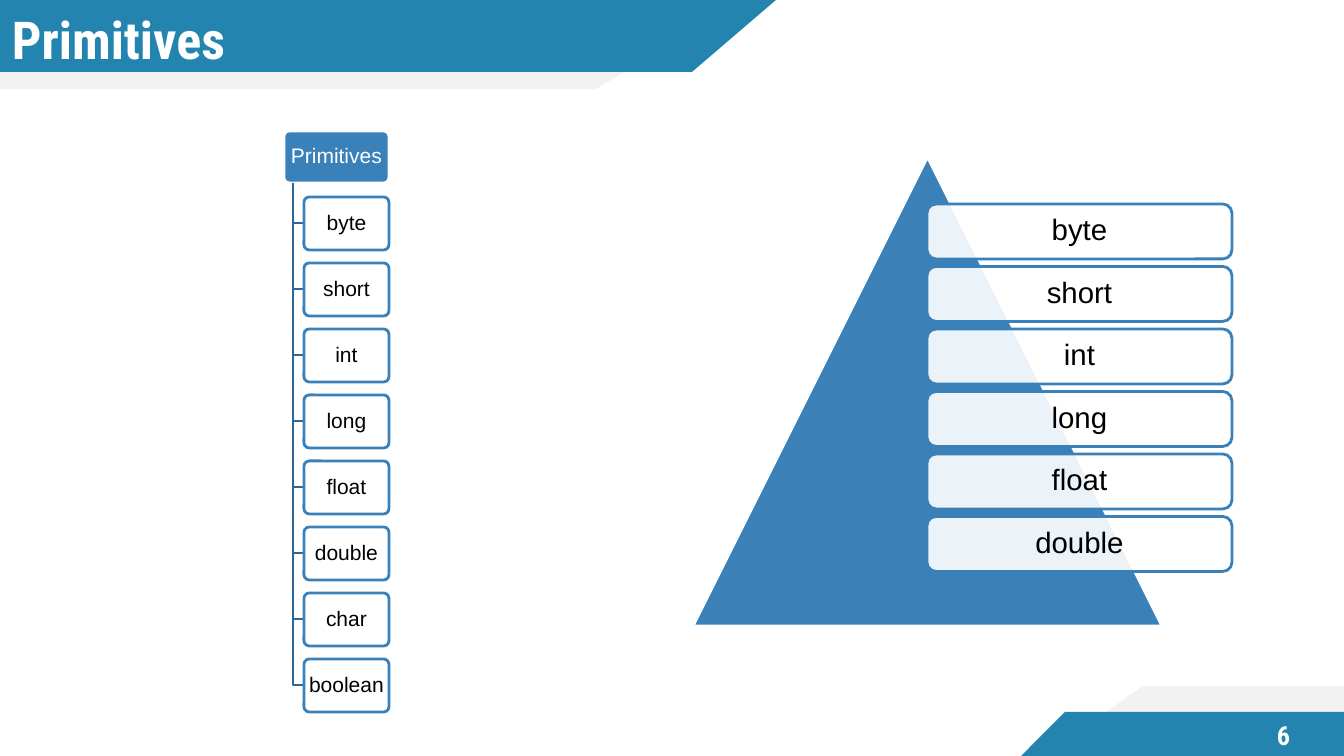
from pptx import Presentation
from pptx.dml.color import RGBColor
from pptx.enum.shapes import MSO_SHAPE
from pptx.enum.text import MSO_ANCHOR, PP_ALIGN
from pptx.oxml.ns import qn
from pptx.util import Pt
from lxml import etree

ROUND, PEAK = MSO_SHAPE.ROUNDED_RECTANGLE, MSO_SHAPE.ISOSCELES_TRIANGLE
MIDDLE = MSO_ANCHOR.MIDDLE
LEFT, CENTER = PP_ALIGN.LEFT, PP_ALIGN.CENTER
PX = 914400 / 100.8
TEAL, GREY, BLUE, NAVY = "2384AF", "F2F2F2", "3A81BA", "2E6795"
WHITE, BLACK = "FFFFFF", "000000"
HEAD, BODY = "Roboto Condensed", "Arial"


def paint(shape, fill, line=None, alpha=None):
    shape.shadow.inherit = False
    if fill:
        shape.fill.solid()
        shape.fill.fore_color.rgb = RGBColor.from_string(fill)
    else:
        shape.fill.background()
    if alpha:
        color = shape.fill._xPr.find(qn("a:solidFill"))[0]
        etree.SubElement(color, qn("a:alpha"), val=str(alpha * 1000))
    if line:
        shape.line.color.rgb = RGBColor.from_string(line)
        shape.line.width = Pt(2)
    else:
        shape.line.fill.background()


def write(shape, text, size, color, font=BODY, align=CENTER, bold=False, left=0):
    frame = shape.text_frame
    frame.word_wrap = True
    frame.vertical_anchor = MIDDLE
    frame.margin_left = round(left * PX)
    frame.margin_top = frame.margin_right = frame.margin_bottom = 0
    para = frame.paragraphs[0]
    para.alignment = align
    para.line_spacing = 0.9 if font == BODY else 1.0
    run = para.add_run()
    run.text = text
    run.font.name, run.font.size, run.font.bold = font, Pt(size), bold
    run.font.color.rgb = RGBColor.from_string(color)


deck = Presentation()
deck.slide_width, deck.slide_height = round(1344 * PX), round(756 * PX)
slide = deck.slides.add_slide(deck.slide_layouts[5])
shapes = slide.shapes

# Slanted bands at top and bottom
bands = [
    (GREY, [(0, 0), (742, 0), (596, 89), (0, 89)]),
    (TEAL, [(0, 0), (776, 0), (692, 72), (0, 72)]),
    (GREY, [(1143, 686), (1344, 686), (1344, 756), (1044, 756)]),
    (TEAL, [(1065, 712), (1344, 712), (1344, 756), (1021, 756)]),
]
for color, points in bands:
    pen = shapes.build_freeform(*points[0], scale=PX)
    pen.add_line_segments(points[1:])
    paint(pen.convert_to_shape(), color)

# Title, raised above the bands
title = shapes.title
title.left, title.top, title.width, title.height = [round(v * PX) for v in (0, 0, 735, 77)]
write(title, "Primitives", 37.3, WHITE, HEAD, LEFT, True, 12)
shapes._spTree.append(title._element)

# Page number
page = shapes.add_textbox(*[round(v * PX) for v in (1239, 713, 89, 45)])
write(page, "6", 18.7, WHITE, HEAD, bold=True)

# Tree of all primitive types
root = shapes.add_shape(ROUND, *[round(v * PX) for v in (284, 131, 105, 52)])
root.adjustments[0] = 0.1
paint(root, BLUE, WHITE)
write(root, "Primitives", 15, WHITE)
kinds = ["byte", "short", "int", "long", "float", "double", "char", "boolean"]
for i, kind in enumerate(kinds):
    top = 197 + 66 * i
    pen = shapes.build_freeform(293, 183, scale=PX)
    pen.add_line_segments([(293, top + 26), (304, top + 26)], close=False)
    paint(pen.convert_to_shape(), None, NAVY)
    leaf = shapes.add_shape(ROUND, *[round(v * PX) for v in (304, top, 85, 53)])
    leaf.adjustments[0] = 0.1
    paint(leaf, WHITE, BLUE, 90)
    write(leaf, kind, 15, BLACK)

# Pyramid of numeric types
peak = shapes.add_shape(PEAK, *[round(v * PX) for v in (693, 157, 469, 469)])
paint(peak, BLUE, WHITE)
for i, kind in enumerate(kinds[:6]):
    top = 204 + 62.5 * i
    bar = shapes.add_shape(ROUND, *[round(v * PX) for v in (927, top, 305, 55)])
    paint(bar, WHITE, BLUE, 90)
    write(bar, kind, 21, BLACK)

deck.save("out.pptx")
